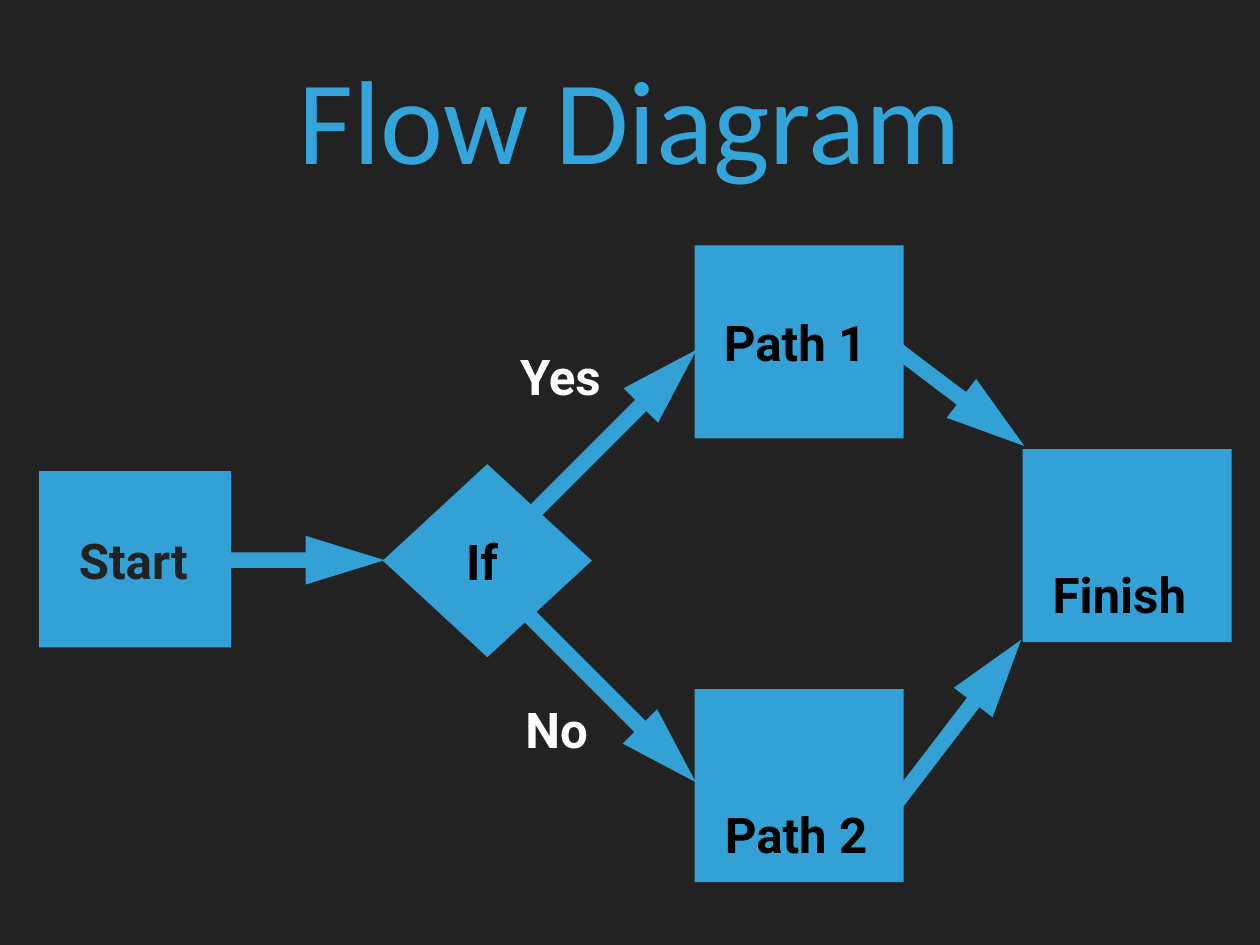
from pptx import Presentation
from pptx.dml.color import RGBColor
from pptx.enum import shapes, text
from pptx.util import Inches, Pt

COLORS = {
    "background": "222222",
    "shape": "33A1D5",
    "title": "34A5DA",
    "dark": "222222",
    "black": "000000",
    "white": "FFFFFF",
}
BOX_SIZE = (2.36, 2.18)
ARROW_HEIGHT = 0.55


def color(name):
    return RGBColor.from_string(COLORS[name])


def add_node(page, kind, left, top, size=BOX_SIZE):
    node = page.shapes.add_shape(kind, *map(Inches, (left, top, *size)))
    node.shadow.inherit = False
    node.fill.solid()
    node.fill.fore_color.rgb = color("shape")
    node.line.fill.background()
    return node


def add_arrow(page, left, top, length, angle=0):
    arrow = add_node(page, shapes.MSO_SHAPE.RIGHT_ARROW, left, top,
                     (length, ARROW_HEIGHT))
    arrow.adjustments[0] = 0.32
    arrow.adjustments[1] = 1.62
    arrow.rotation = angle


def add_text(page, words, left, top, width, height=0.88, *, font="Roboto",
             size=40, ink="black", bold=True, align=text.PP_ALIGN.LEFT,
             before=24, inset=0.06, wrap=False, grow=True):
    box = page.shapes.add_textbox(*map(Inches, (left, top, width, height)))
    frame = box.text_frame
    frame.word_wrap = wrap
    frame.auto_size = (text.MSO_AUTO_SIZE.SHAPE_TO_FIT_TEXT if grow
                       else text.MSO_AUTO_SIZE.NONE)
    frame.vertical_anchor = text.MSO_ANCHOR.MIDDLE
    frame.margin_left = frame.margin_right = Inches(inset)
    frame.margin_top = frame.margin_bottom = Inches(inset)
    para = frame.paragraphs[0]
    para.alignment = align
    para.space_before = Pt(before)
    span = para.add_run()
    span.text = words
    span.font.name = font
    span.font.size = Pt(size)
    span.font.bold = bold
    span.font.color.rgb = color(ink)


def main():
    deck = Presentation()
    deck.slide_width, deck.slide_height = Inches(14.22), Inches(10.67)
    page = deck.slides.add_slide(deck.slide_layouts[6])
    page.background.fill.solid()
    page.background.fill.fore_color.rgb = color("background")

    # Title
    add_text(page, "Flow Diagram", 0.71, 0.43, 12.8, 1.78, font="Calibri",
             size=97, ink="title", bold=False, align=text.PP_ALIGN.CENTER,
             before=21, inset=0.07, wrap=True, grow=False)

    # Arrows: start to if, if to each path, each path to finish
    add_arrow(page, 1.69, 6.05, 2.65)
    add_arrow(page, 5.6, 4.61, 2.65, 315)
    add_arrow(page, 5.59, 7.62, 2.65, 45)
    add_arrow(page, 9.71, 4.14, 2.06, 37.1)
    add_arrow(page, 9.62, 7.89, 2.37, 307.4)

    # Steps and decision
    add_node(page, shapes.MSO_SHAPE.RECTANGLE, 0.44, 5.32, (2.17, 1.99))
    add_node(page, shapes.MSO_SHAPE.DIAMOND, 4.32, 5.24)
    for left, top in ((7.84, 2.77), (7.84, 7.78), (11.54, 5.07)):
        add_node(page, shapes.MSO_SHAPE.RECTANGLE, left, top)

    # Step names
    add_text(page, "Start", 0.83, 5.93, 1.49, 0.79, ink="dark", wrap=True)
    add_text(page, "If", 5.2, 5.89, 0.5)
    add_text(page, "Path 1", 8.11, 3.42, 1.81)
    add_text(page, "Path 2", 8.12, 8.97, 1.81)
    add_text(page, "Finish", 11.82, 6.26, 1.71)

    # Branch labels
    add_text(page, "Yes", 5.81, 3.8, 1.1, ink="white")
    add_text(page, "No", 5.87, 7.79, 0.92, ink="white")

    deck.save("out.pptx")


main()
